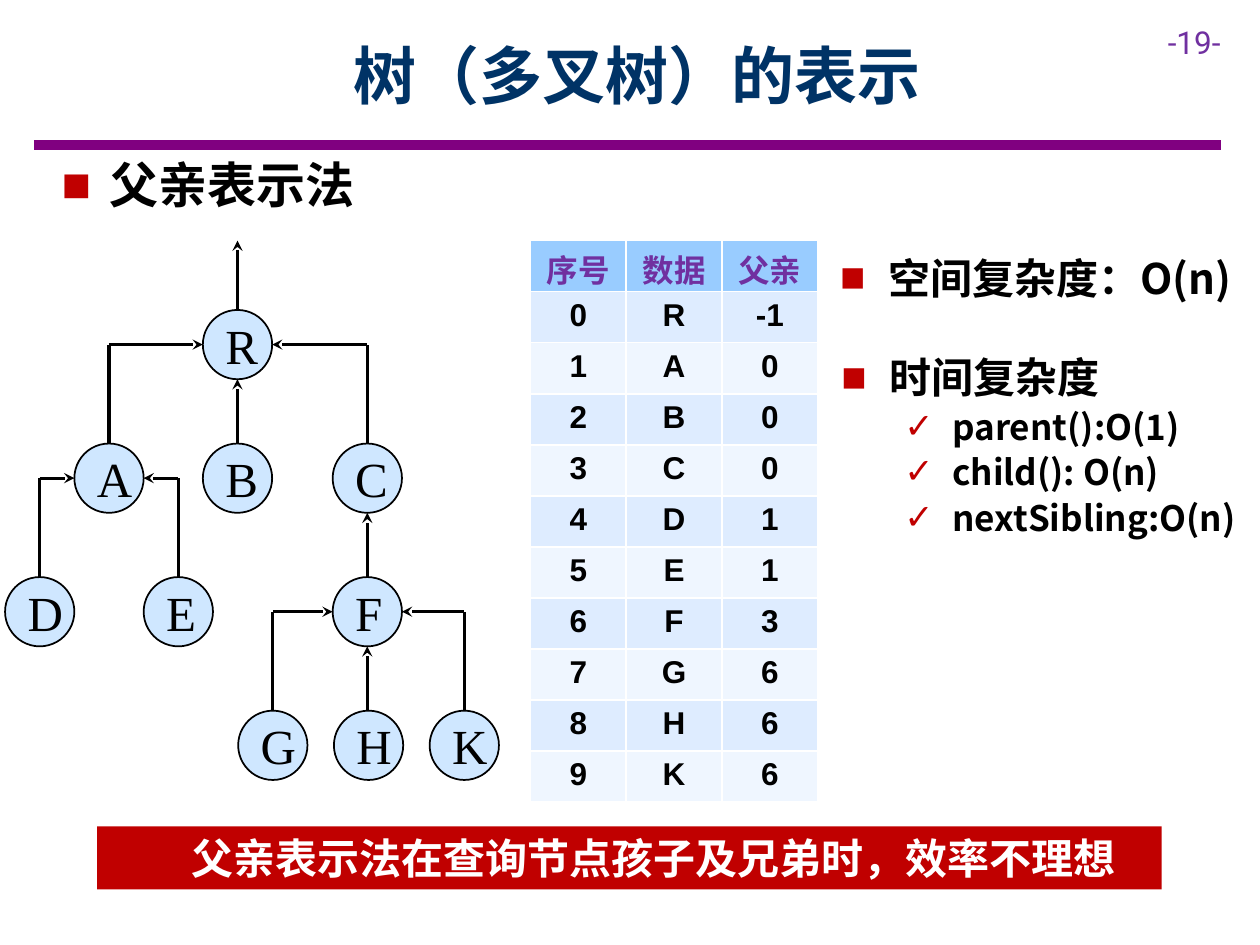
from dataclasses import dataclass
from lxml.etree import SubElement
from pptx import Presentation
from pptx.dml.color import RGBColor as RGB
from pptx.enum.shapes import MSO_CONNECTOR as Link, MSO_SHAPE as Kind
from pptx.enum.text import MSO_ANCHOR as Anchor, PP_ALIGN as Align
from pptx.oxml.ns import qn
from pptx.util import Inches, Pt


@dataclass(frozen=True)
class Theme:
    """Colours, fonts and type sizes."""
    navy: str = "003366"
    violet: str = "7030A0"
    rule: str = "800080"
    red: str = "C00000"
    sky: str = "99CCFF"
    bands: tuple = ("DEECFF", "EFF6FF")
    black: str = "000000"
    white: str = "FFFFFF"
    han: str = "Noto Sans CJK SC"
    serif: str = "Times New Roman"
    sans: str = "Arial"
    page: str = "Roboto"
    title: int = 36
    large: int = 28
    point: int = 24
    item: int = 20
    small: int = 18


T = Theme()
TITLE = "树（多叉树）的表示"
PAGE = "-19-"
NOTE = "父亲表示法在查询节点孩子及兄弟时，效率不理想"
LISTS = [
    ((0.39, 1.23, 3.43, 0.57), 0.9, [("父亲表示法", "■", T.large)]),
    ((6.57, 2.02, 3.46, 0.5), 0.83, [("空间复杂度：O(n)", "■", T.point)]),
    ((6.58, 2.81, 3.39, 1.77), 0.83, [
        ("时间复杂度", "■", T.point),
        ("parent():O(1)", "✓", T.item),
        ("child(): O(n)", "✓", T.item),
        ("nextSibling:O(n)", "✓", T.item),
    ]),
]
HEAD = ("序号", "数据", "父亲")
NODES = [("R", -1), ("A", 0), ("B", 0), ("C", 0), ("D", 1),
         ("E", 1), ("F", 3), ("G", 6), ("H", 6), ("K", 6)]
LEFT = (1.61, 0.59, 1.61, 2.64, 0.04, 1.14, 2.64, 1.89, 2.65, 3.41)
DEPTH = (0, 1, 1, 1, 2, 2, 2, 3, 3, 3)
TOP, STEP, SIZE = 2.46, 1.06, 0.55
HALF = SIZE / 2
INDENT = 0.38

deck = Presentation()
deck.slide_width, deck.slide_height = Inches(10), Inches(7.5)
slide = deck.slides.add_slide(deck.slide_layouts[6])
shapes = slide.shapes


def style(para, size, color, face=T.han, bold=True):
    """Format every run of a paragraph."""
    for run in para.runs:
        font = run.font
        font.size, font.bold, font.name = Pt(size), bold, face
        font.color.rgb = RGB.from_string(color)
        SubElement(run._r.get_or_add_rPr(), qn("a:ea"), typeface=face)


def indent(para, left, first=0):
    """Set the left margin and first-line indent."""
    props = para._p.get_or_add_pPr()
    props.set("marL", str(Inches(left)))
    props.set("indent", str(Inches(first)))
    return props


def bullet(para, mark, left):
    """Give a paragraph a red hanging bullet."""
    props = indent(para, left, -INDENT)
    tint = SubElement(props, qn("a:buClr"))
    SubElement(tint, qn("a:srgbClr"), val=T.red)
    SubElement(props, qn("a:buFont"), typeface=T.sans)
    SubElement(props, qn("a:buChar"), char=mark)


def label(box, text):
    """Add a wrapping text box."""
    frame = shapes.add_textbox(*map(Inches, box)).text_frame
    frame.word_wrap = True
    frame.text = text
    return frame


def block(kind, box, fill, text):
    """Add a filled shape with centred text."""
    shape = shapes.add_shape(kind, *map(Inches, box))
    shape.shadow.inherit = False
    shape.fill.solid()
    shape.fill.fore_color.rgb = RGB.from_string(fill)
    shape.line.fill.background()
    frame = shape.text_frame
    frame.word_wrap, frame.vertical_anchor = True, Anchor.MIDDLE
    frame.text = text
    frame.paragraphs[0].alignment = Align.CENTER
    return shape


def line(start, end, color=T.black, width=1.75, arrow=False):
    """Draw a straight line, with an arrowhead if asked."""
    link = shapes.add_connector(Link.STRAIGHT, *map(Inches, start + end))
    link.line.color.rgb = RGB.from_string(color)
    link.line.width = Pt(width)
    if arrow:
        SubElement(link.line._get_or_add_ln(), qn("a:tailEnd"), type="stealth")
    SubElement(link._element.spPr, qn("a:effectLst"))


def node(name, x, y):
    """Draw one tree node."""
    disc = block(Kind.OVAL, (x, y, SIZE, SIZE), T.sky, name)
    tone = disc._element.spPr.find(qn("a:solidFill"))[0]
    SubElement(tone, qn("a:alpha"), val="47000")
    disc.line.color.rgb = RGB.from_string(T.black)
    disc.line.width = Pt(1)
    frame = disc.text_frame
    frame.margin_top = frame.margin_bottom = Inches(0.1)
    style(frame.paragraphs[0], T.large, T.black, T.serif, False)


def edge(child, parent):
    """Link a child to its parent with an upright or bent arrow."""
    (cx, cy), (px, py) = child, parent
    if abs(cx - px) < HALF:
        line((px, cy - HALF), (px, py + HALF), arrow=True)
    else:
        side = HALF if cx > px else -HALF
        line((cx, cy - HALF), (cx, py))
        line((cx, py), (px + side, py), arrow=True)


def tree():
    """Draw the nodes and links of the tree."""
    spots = [(x + HALF, TOP + d * STEP + HALF) for x, d in zip(LEFT, DEPTH)]
    for (name, up), (x, y) in zip(NODES, spots):
        node(name, x - HALF, y - HALF)
        if up < 0:
            line((x, y - HALF), (x, y - 2 * SIZE + HALF), arrow=True)
        else:
            edge((x, y), spots[up])


def grid():
    """Draw the parent table."""
    rows = [HEAD] + [(i, name, up) for i, (name, up) in enumerate(NODES)]
    box = map(Inches, (4.21, 1.91, 2.28, 4.46))
    table = shapes.add_table(len(rows), len(HEAD), *box).table
    for r, row in enumerate(rows):
        fill = T.bands[(r - 1) % 2] if r else T.sky
        look = (T.black, T.sans) if r else (T.violet, T.han)
        for c, value in enumerate(row):
            cell = table.cell(r, c)
            cell.text = str(value)
            cell.fill.solid()
            cell.fill.fore_color.rgb = RGB.from_string(fill)
            if not r:
                cell.margin_top, cell.margin_bottom = Inches(0.04), 0
            para = cell.text_frame.paragraphs[0]
            para.alignment = Align.CENTER
            style(para, T.small, *look)


def lists():
    """Write the bulleted lists."""
    for box, space, items in LISTS:
        frame = label(box, "\n".join(text for text, _, _ in items))
        for para, (_, mark, size) in zip(frame.paragraphs, items):
            para.line_spacing, para.space_after = space, Pt(6)
            para.level = int(mark == "✓")
            bullet(para, mark, INDENT + para.level / 2)
            style(para, size, T.black)


def main():
    """Build the slide and save it."""
    line((0.27, 1.15), (9.69, 1.15), T.rule, 6)
    page = label((9.17, 0.13, 0.83, 0.4), PAGE)
    style(page.paragraphs[0], T.small, T.violet, T.page, False)
    head = label((0.9, 0.09, 8.31, 1), TITLE)
    head.vertical_anchor = Anchor.MIDDLE
    head.paragraphs[0].alignment = Align.CENTER
    style(head.paragraphs[0], T.title, T.navy)
    tree()
    grid()
    lists()
    note = block(Kind.RECTANGLE, (0.77, 6.56, 8.45, 0.5), T.red, NOTE)
    para = note.text_frame.paragraphs[0]
    indent(para, INDENT)
    style(para, T.point, T.white)
    deck.save("out.pptx")


if __name__ == "__main__":
    main()
